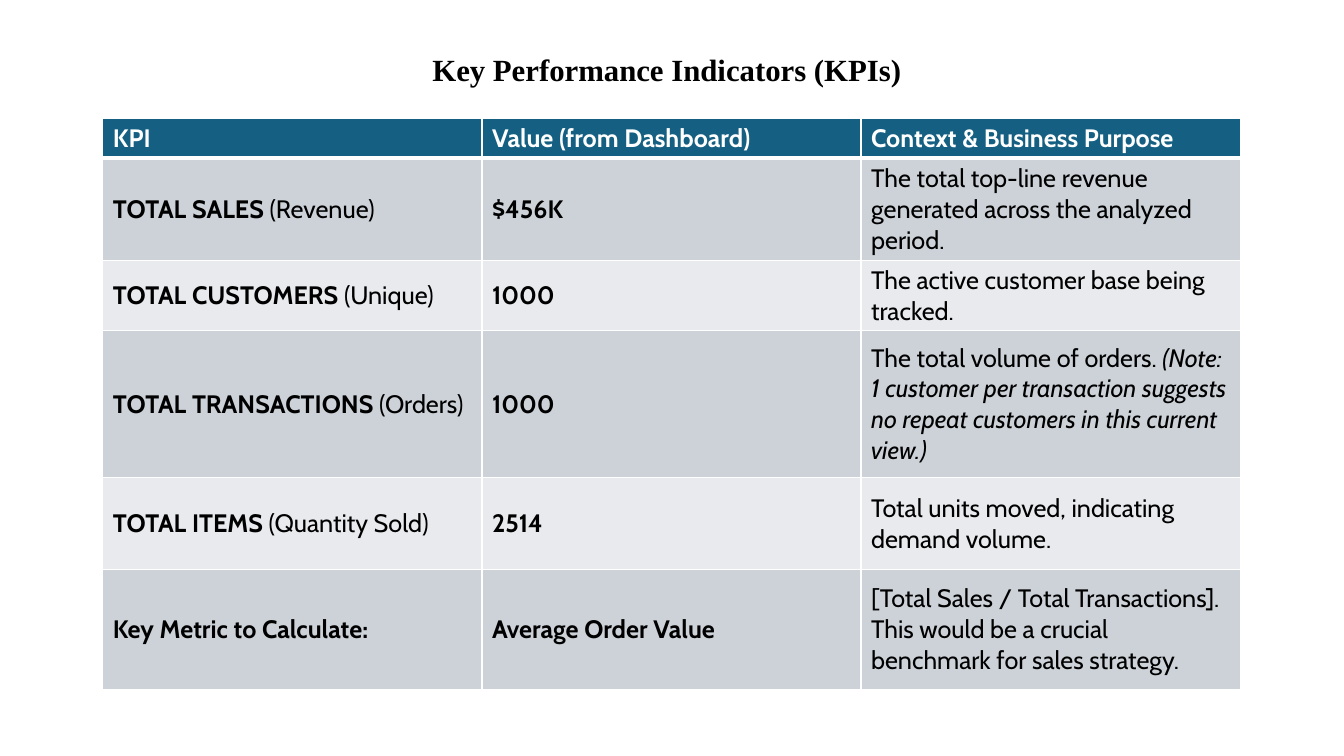
import pptx
import pptx.dml.color
import pptx.enum.text
import pptx.oxml
import pptx.oxml.ns
import pptx.util

Inches = pptx.util.Inches
Pt = pptx.util.Pt


def rgb(value):
    return pptx.dml.color.RGBColor.from_string(value)


def add_run(p, text, font="Cabin", size=18, color="000000", bold=False, italic=False):
    r = p.add_run()
    r.text = text
    r.font.name = font
    r.font.size = Pt(size)
    r.font.color.rgb = rgb(color)
    r.font.bold = bold
    r.font.italic = italic


class KpiSlide:
    header_fill = "156082"
    band_fills = ("CCD2D8", "E8EAED")
    line_color = "FFFFFF"

    def __init__(self, prs):
        self.s = prs.slides.add_slide(prs.slide_layouts[6])

    def title(self, text, left, top, width, height):
        sp = self.s.shapes.add_textbox(Inches(left), Inches(top), Inches(width), Inches(height))
        tf = sp.text_frame
        tf.word_wrap = True
        add_run(tf.paragraphs[0], text, font="Times New Roman", size=22, bold=True)

    def borders(self, cell, bottom):
        tc_pr = cell._tc.get_or_add_tcPr()
        widths = {"lnL": 1, "lnR": 1, "lnT": 1, "lnB": bottom}
        for i, (tag, width) in enumerate(widths.items()):
            tc_pr.insert(i, pptx.oxml.parse_xml(
                f'<a:{tag} {pptx.oxml.ns.nsdecls("a")} w="{Pt(width)}"><a:solidFill>'
                f'<a:srgbClr val="{self.line_color}"/></a:solidFill></a:{tag}>'))

    def cell(self, cell, runs, fill, bottom=1):
        cell.fill.solid()
        cell.fill.fore_color.rgb = rgb(fill)
        cell.vertical_anchor = pptx.enum.text.MSO_ANCHOR.MIDDLE
        for text, style in runs:
            add_run(cell.text_frame.paragraphs[0], text, **style)
        self.borders(cell, bottom)

    def table(self, header, rows, left, top, col_width, heights):
        table = self.s.shapes.add_table(
            len(heights), len(header), Inches(left), Inches(top),
            Inches(col_width * len(header)), Inches(sum(heights))).table
        for column in table.columns:
            column.width = Inches(col_width)
        for row, height in zip(table.rows, heights):
            row.height = Inches(height)
        for c, text in enumerate(header):
            style = {"bold": True, "color": "FFFFFF"}
            self.cell(table.cell(0, c), [(text, style)], self.header_fill, bottom=3)
        for i, row in enumerate(rows):
            for c, runs in enumerate(row):
                self.cell(table.cell(i + 1, c), runs, self.band_fills[i % 2])


PLAIN, BOLD, ITALIC = {}, {"bold": True}, {"italic": True}


def kpi(name, unit, value, *context):
    label = [(name, BOLD)] + ([(unit, PLAIN)] if unit else [])
    return label, [(value, BOLD)], list(zip(context, (PLAIN, ITALIC)))


HEADER = ("KPI", "Value (from Dashboard)", "Context & Business Purpose")
KPIS = [
    kpi("TOTAL SALES", " (Revenue)", "$456K",
        "The total top-line revenue generated across the analyzed period."),
    kpi("TOTAL CUSTOMERS", " (Unique)", "1000",
        "The active customer base being tracked."),
    kpi("TOTAL TRANSACTIONS", " (Orders)", "1000",
        "The total volume of orders. ",
        "(Note: 1 customer per transaction suggests no repeat customers in this current view.)"),
    kpi("TOTAL ITEMS", " (Quantity Sold)", "2514",
        "Total units moved, indicating demand volume."),
    kpi("Key Metric to Calculate:", "", "Average Order Value",
        "[Total Sales / Total Transactions]. "
        "This would be a crucial benchmark for sales strategy."),
]


def main():
    prs = pptx.Presentation()
    prs.slide_width = Inches(13.33)
    prs.slide_height = Inches(7.5)
    slide = KpiSlide(prs)

    # Title
    slide.title("Key Performance Indicators (KPIs)", 4.19, 0.45, 4.96, 0.47)

    # KPI table
    slide.table(HEADER, KPIS, left=1.02, top=1.17, col_width=3.76,
                heights=(0.4, 1.01, 0.7, 1.46, 0.91, 1.19))

    prs.save("out.pptx")


if __name__ == "__main__":
    main()
